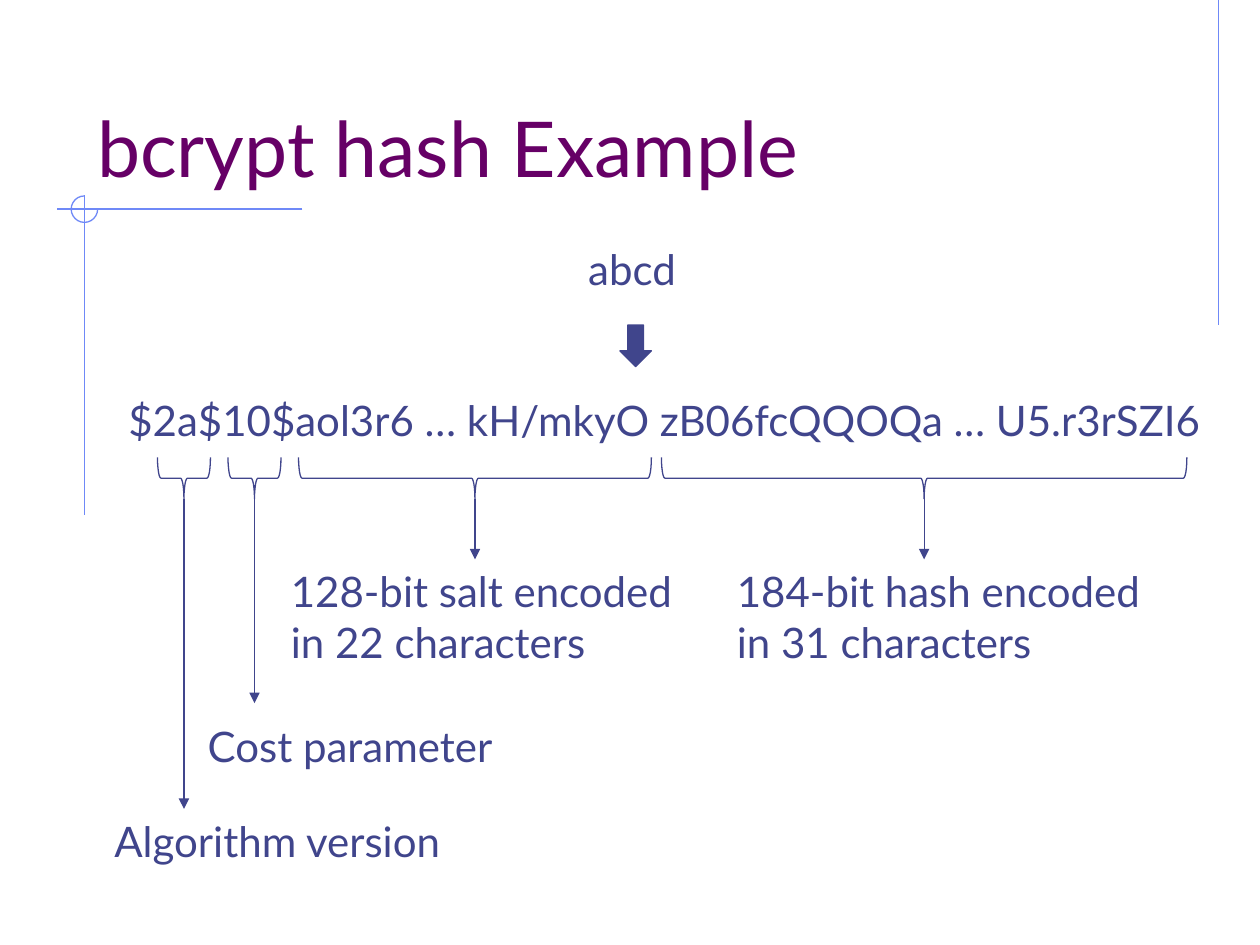
from lxml import etree
from pptx import Presentation
from pptx.dml.color import RGBColor
from pptx.enum.shapes import MSO_CONNECTOR, MSO_SHAPE
from pptx.enum.text import MSO_ANCHOR, MSO_AUTO_SIZE, PP_ALIGN
from pptx.oxml.ns import qn
from pptx.util import Inches, Pt

STRAIGHT = MSO_CONNECTOR.STRAIGHT
ARC, DOWN_ARROW, LEFT_BRACE = MSO_SHAPE.ARC, MSO_SHAPE.DOWN_ARROW, MSO_SHAPE.LEFT_BRACE
BOTTOM = MSO_ANCHOR.BOTTOM
NO_AUTOFIT = MSO_AUTO_SIZE.NONE
LEFT = PP_ALIGN.LEFT

PURPLE = RGBColor(0x66, 0x00, 0x66)
INDIGO = RGBColor(0x40, 0x45, 0x8C)
LIGHT_BLUE = RGBColor(0x6F, 0x89, 0xF7)
FONT = "Lato"
BRACE_TOP, BRACE_HEIGHT = 3.63, 0.33

# brace left, brace width, arrow end, label box, label lines
HASH_PARTS = [
    (1.25, 0.42, 6.42, (0.81, 6.42, 3.0, 0.5), ["Algorithm version"]),
    (1.81, 0.42, 5.58, (1.55, 5.67, 2.64, 0.5), ["Cost parameter"]),
    (2.37, 2.8, 4.44, (2.21, 4.44, 3.37, 0.9), ["128-bit salt encoded", "in 22 characters"]),
    (5.25, 4.17, 4.44, (5.75, 4.44, 3.57, 0.9), ["184-bit hash encoded", "in 31 characters"]),
]


def format_paragraph(paragraph, size, color):
    paragraph.alignment = LEFT
    paragraph.font.name = FONT
    paragraph.font.size = Pt(size)
    paragraph.font.color.rgb = color


def add_line(slide, start, end, color, arrowhead=False):
    connector = slide.shapes.add_connector(STRAIGHT, *map(Inches, start + end))
    connector.line.color.rgb = color
    connector.line.width = Pt(0.75)
    properties = connector.line._get_or_add_ln()
    if arrowhead:
        etree.SubElement(properties, qn("a:tailEnd"), type="triangle")
    etree.SubElement(connector._element.spPr, qn("a:effectLst"))


def add_outline(slide, kind, box, color):
    """Add an unfilled preset shape with a thin line."""
    shape = slide.shapes.add_shape(kind, *map(Inches, box))
    shape.shadow.inherit = False
    shape.fill.background()
    shape.line.color.rgb = color
    shape.line.width = Pt(0.75)
    return shape


def add_text(slide, box, lines):
    frame = slide.shapes.add_textbox(*map(Inches, box)).text_frame
    frame.word_wrap = False
    frame.text = "\n".join(lines)
    for paragraph in frame.paragraphs:
        format_paragraph(paragraph, 24, INDIGO)


def add_decoration(slide, center_x, center_y):
    """Draw the corner cross with its open ring, and the line at the right edge."""
    add_line(slide, (9.67, 0), (9.67, 2.58), LIGHT_BLUE)
    add_line(slide, (2.4, center_y), (0.45, center_y), LIGHT_BLUE)
    add_line(slide, (center_x, 1.55), (center_x, 4.09), LIGHT_BLUE)
    diameter = 0.21
    box = (center_x - diameter / 2, center_y - diameter / 2, diameter, diameter)
    ring = add_outline(slide, ARC, box, LIGHT_BLUE)
    ring.adjustments[0] = 0
    ring.adjustments[1] = 162  # 270 degrees in 60000ths, divided by 100000


def set_title(slide, box, text):
    title = slide.shapes.title
    title.left, title.top, title.width, title.height = map(Inches, box)
    frame = title.text_frame
    frame.text = text
    frame.auto_size = NO_AUTOFIT
    frame.vertical_anchor = BOTTOM
    format_paragraph(frame.paragraphs[0], 44, PURPLE)


def add_hash_part(slide, left, width, arrow_end, label_box, label):
    """Mark a part of the hash with a brace and an arrow down to its label."""
    center = left + width / 2
    # The brace is drawn upright about its center, then turned to point down.
    upright_top = BRACE_TOP + (BRACE_HEIGHT - width) / 2
    box = (center - BRACE_HEIGHT / 2, upright_top, BRACE_HEIGHT, width)
    brace = add_outline(slide, LEFT_BRACE, box, INDIGO)
    brace.rotation = 270
    add_line(slide, (center, BRACE_TOP + BRACE_HEIGHT), (center, arrow_end), INDIGO, True)
    add_text(slide, label_box, label)


def add_hashing(slide):
    """Show the password, the arrow and the resulting hash."""
    add_text(slide, (4.57, 1.88, 0.95, 0.5), ["abcd"])
    arrow = add_outline(slide, DOWN_ARROW, (4.92, 2.58, 0.25, 0.33), INDIGO)
    arrow.fill.solid()
    arrow.fill.fore_color.rgb = INDIGO
    add_text(slide, (0.92, 3.08, 8.88, 0.5),
             ["$2a$10$aol3r6 … kH/mkyO zB06fcQQOQa … U5.r3rSZI6"])


def main():
    presentation = Presentation()
    presentation.slide_width, presentation.slide_height = Inches(10), Inches(7.5)
    slide = presentation.slides.add_slide(presentation.slide_layouts[5])
    add_decoration(slide, 0.67, 1.66)
    set_title(slide, (0.67, 0.33, 8.5, 1.25), "bcrypt hash Example")
    add_hashing(slide)
    for part in HASH_PARTS:
        add_hash_part(slide, *part)
    presentation.save("out.pptx")


if __name__ == "__main__":
    main()
